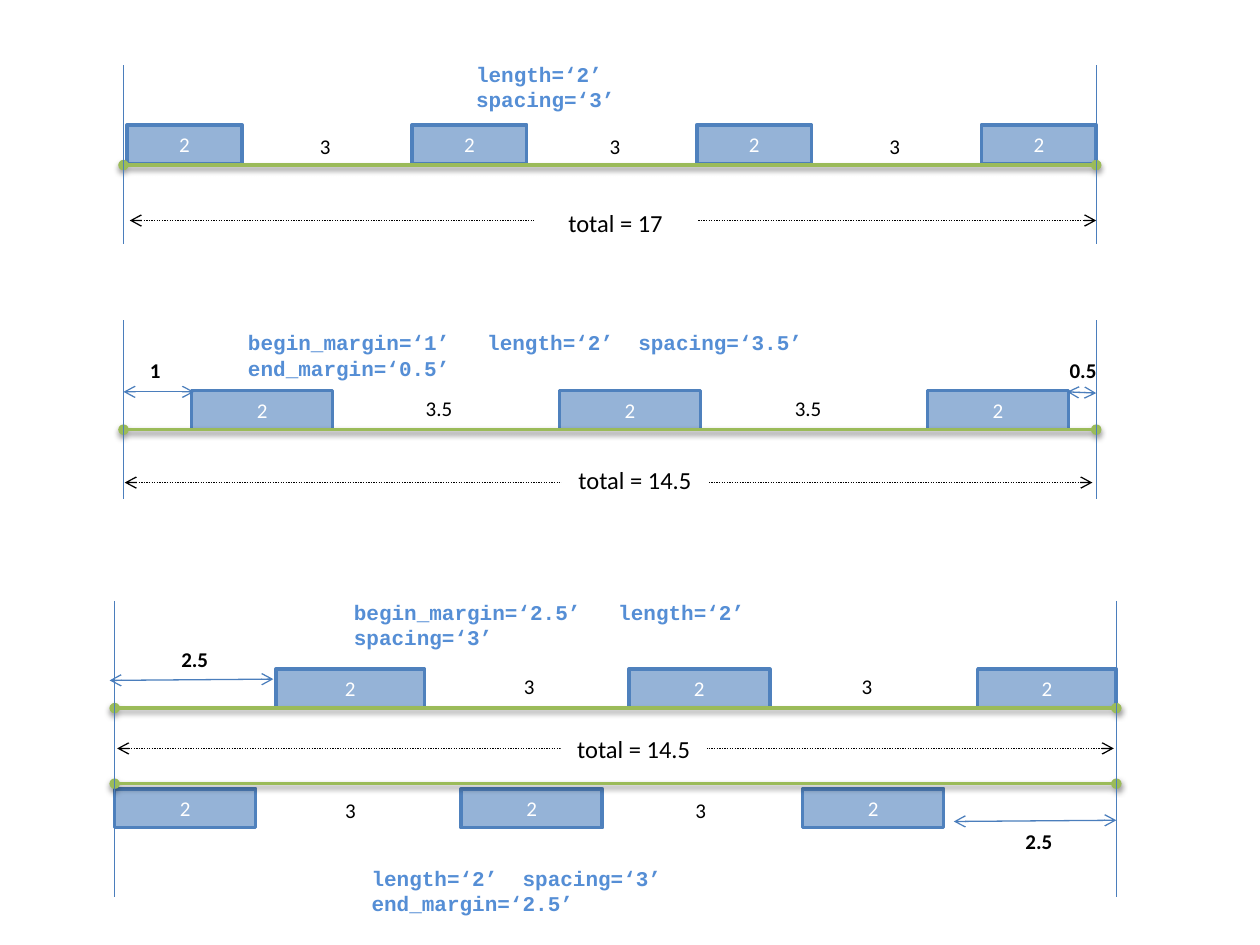
from dataclasses import dataclass

from lxml import etree
from pptx import Presentation
from pptx.dml.color import RGBColor
from pptx.enum.dml import MSO_LINE
from pptx.enum.shapes import MSO_CONNECTOR, MSO_SHAPE
from pptx.enum.text import MSO_ANCHOR, PP_ALIGN
from pptx.oxml.ns import qn
from pptx.util import Inches, Pt

STRAIGHT = MSO_CONNECTOR.STRAIGHT
RECTANGLE = MSO_SHAPE.RECTANGLE
DOTTED = MSO_LINE.ROUND_DOT
MIDDLE = MSO_ANCHOR.MIDDLE
CENTER = PP_ALIGN.CENTER

# The slide is a grid of 100 columns by 75 rows
SLIDE_WIDTH, SLIDE_HEIGHT = Inches(10), Inches(7.5)
COLUMN, ROW = SLIDE_WIDTH / 100, SLIDE_HEIGHT / 75
BAR_ROWS = 3.1
LABEL_ROWS = 3
TOTAL_ROWS = 1.8


@dataclass(frozen=True)
class Theme:
    bar: str = "95B3D7"
    bar_edge: str = "4F81BD"
    guide: str = "4B7EBC"
    baseline: str = "9BBB59"
    code: str = "558ED5"
    ink: str = "000000"
    paper: str = "FFFFFF"
    font: str = "Calibri"
    code_font: str = "Courier New"
    label_size: float = 12
    total_size: float = 14
    thin: float = 0.75
    thick: float = 2


THEME = Theme()


@dataclass(frozen=True)
class Label:
    text: str
    left: float
    top: float
    width: float


@dataclass(frozen=True)
class Margin:
    start: tuple[float, float]
    end: tuple[float, float]
    label: Label


@dataclass(frozen=True)
class Track:
    baseline: float
    bar_top: float
    bars: list[tuple[float, float]]  # left, width
    gap_text: str
    gap_top: float
    gaps: list[float]
    code: Label
    margins: tuple[Margin, ...] = ()


@dataclass(frozen=True)
class Panel:
    edges: tuple[float, float]
    top: float
    bottom: float
    total: Label
    arrow: tuple[float, float, float]  # left, right, row
    tracks: list[Track]


def even_bars(first: float, pitch: float, width: float, count: int) -> list[tuple[float, float]]:
    return [(first + pitch * index, width) for index in range(count)]


PANELS = [
    Panel((9.8, 87), 5.2, 19.4, Label("total = 17", 42.4, 16.8, 12.9), (10.3, 87, 17.5), [
        Track(13.1, 9.9, even_bars(10.1, 22.6, 9.1, 4), "3", 10.1, [24.4, 47.4, 69.6],
              Label("length=‘2’  spacing=‘3’", 36.8, 4.4, 23.4)),
    ]),
    Panel((9.8, 87), 25.4, 39.6, Label("total = 14.5", 44.6, 37.2, 11.6), (9.9, 86.7, 38.3), [
        Track(34.1, 31, even_bars(15.2, 29.2, 11.2, 3), "3.5", 30.9, [32.8, 62.1],
              Label("begin_margin=‘1’   length=‘2’  spacing=‘3.5’  end_margin=‘0.5’",
                    18.7, 25.7, 59.6),
              (Margin((9.8, 31.1), (15.4, 31.1), Label("1", 10.9, 27.9, 2.9)),
               Margin((84.7, 31.1), (87, 31.2), Label("0.5", 83.9, 27.9, 4.2)))),
    ]),
    Panel((9.1, 88.6), 47.7, 71.2, Label("total = 14.5", 44.5, 58.5, 11.6), (9.3, 88.4, 59.4), [
        Track(56.2, 53.1, [(21.9, 11.8), (49.9, 11.2), (77.6, 11)], "3", 53, [40.6, 67.4],
              Label("begin_margin=‘2.5’   length=‘2’  spacing=‘3’", 27.1, 47.1, 42.9),
              (Margin((8.7, 54), (21.7, 53.9), Label("2.5", 13.4, 50.8, 4.2)),)),
        Track(62.2, 62.6, [(9.1, 11.2), (36.6, 11.2), (63.7, 11.2)], "3", 62.8, [26.4, 54.2],
              Label("length=‘2’  spacing=‘3’  end_margin=‘2.5’", 28.5, 68.2, 40.1),
              (Margin((75.7, 65.2), (88.6, 65.1), Label("2.5", 80.4, 65.3, 4.2)),)),
    ]),
]


def rgb(color: str) -> RGBColor:
    return RGBColor.from_string(color)


def frame(left: float, top: float, width: float, height: float) -> tuple[int, ...]:
    return round(left * COLUMN), round(top * ROW), round(width * COLUMN), round(height * ROW)


def add_span(para, text: str, color: str, size: float, font: str = THEME.font,
             bold: bool = False) -> None:
    span = para.add_run()
    span.text = text
    span.font.name, span.font.size, span.font.bold = font, Pt(size), bold
    span.font.color.rgb = rgb(color)


def add_block(page, label: Label, height: float, fill: str, edge: str, weight: float,
              ink: str, size: float):
    block = page.shapes.add_shape(RECTANGLE, *frame(label.left, label.top, label.width, height))
    block.shadow.inherit = False
    block.fill.solid()
    block.fill.fore_color.rgb = rgb(fill)
    block.line.color.rgb = rgb(edge)
    block.line.width = Pt(weight)
    block.text_frame.vertical_anchor = MIDDLE
    para = block.text_frame.paragraphs[0]
    para.alignment = CENTER
    add_span(para, label.text, ink, size)
    return block


def add_label(page, label: Label, color: str = THEME.ink, font: str = THEME.font,
              bold: bool = False, wrap: bool = False) -> None:
    box = page.shapes.add_textbox(*frame(label.left, label.top, label.width, LABEL_ROWS))
    box.text_frame.word_wrap = wrap
    add_span(box.text_frame.paragraphs[0], label.text, color, THEME.label_size, font, bold)


def add_line(page, start: tuple[float, float], end: tuple[float, float], color: str,
             weight: float = THEME.thin, tips: str = "", shadow: bool = False):
    line = page.shapes.add_connector(STRAIGHT, *frame(*start, *end))
    line.line.color.rgb = rgb(color)
    line.line.width = Pt(weight)
    if tips:
        outline = line.line._get_or_add_ln()
        for end_tag in ("a:headEnd", "a:tailEnd"):
            etree.SubElement(outline, qn(end_tag), type=tips)
    effects = etree.SubElement(line._element.spPr, qn("a:effectLst"))
    if shadow:
        cast = etree.SubElement(effects, qn("a:outerShdw"), blurRad=str(Pt(3.1)),
                                dist=str(Pt(1.6)), dir="5400000", rotWithShape="0")
        tint = etree.SubElement(cast, qn("a:srgbClr"), val=THEME.ink)
        etree.SubElement(tint, qn("a:alpha"), val="38000")
    return line


def draw_track(page, track: Track, edges: tuple[float, float]) -> None:
    # Bars and the gaps between them
    for left, width in track.bars:
        add_block(page, Label("2", left, track.bar_top, width), BAR_ROWS, THEME.bar,
                  THEME.bar_edge, THEME.thick, THEME.paper, THEME.label_size)
    for left in track.gaps:
        add_label(page, Label(track.gap_text, left, track.gap_top, 2.9 if len(track.gap_text) == 1 else 4.2))
    # Margins and settings
    for margin in track.margins:
        add_line(page, margin.start, margin.end, THEME.guide, tips="arrow")
        add_label(page, margin.label, bold=True)
    add_label(page, track.code, THEME.code, THEME.code_font, bold=True, wrap=True)
    left, right = edges
    add_line(page, (left, track.baseline), (right, track.baseline), THEME.baseline,
             THEME.thick, "oval", shadow=True)


def draw_panel(page, panel: Panel) -> None:
    for track in panel.tracks:
        draw_track(page, track, panel.edges)
    for edge in panel.edges:
        add_line(page, (edge, panel.top), (edge, panel.bottom), THEME.guide)
    # Total length, with its label covering the middle of the arrow
    left, right, row = panel.arrow
    arrow = add_line(page, (left, row), (right, row), THEME.ink, tips="arrow")
    arrow.line.dash_style = DOTTED
    total = add_block(page, panel.total, TOTAL_ROWS, THEME.paper, THEME.paper, THEME.thin,
                      THEME.ink, THEME.total_size)
    total.line.dash_style = DOTTED


def main() -> None:
    deck = Presentation()
    deck.slide_width, deck.slide_height = SLIDE_WIDTH, SLIDE_HEIGHT
    page = deck.slides.add_slide(deck.slide_layouts[6])
    for panel in PANELS:
        draw_panel(page, panel)
    deck.save("out.pptx")


if __name__ == "__main__":
    main()
